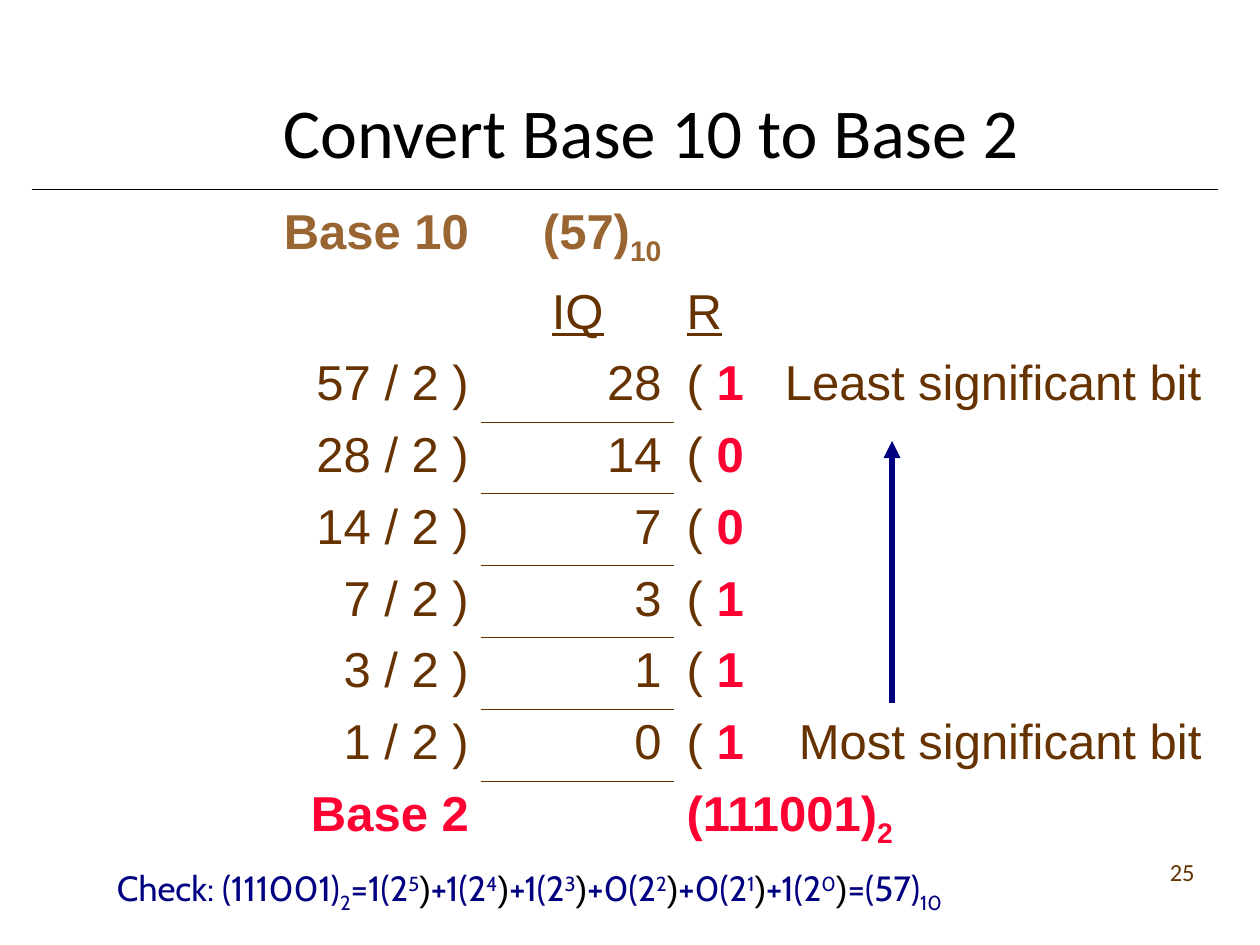
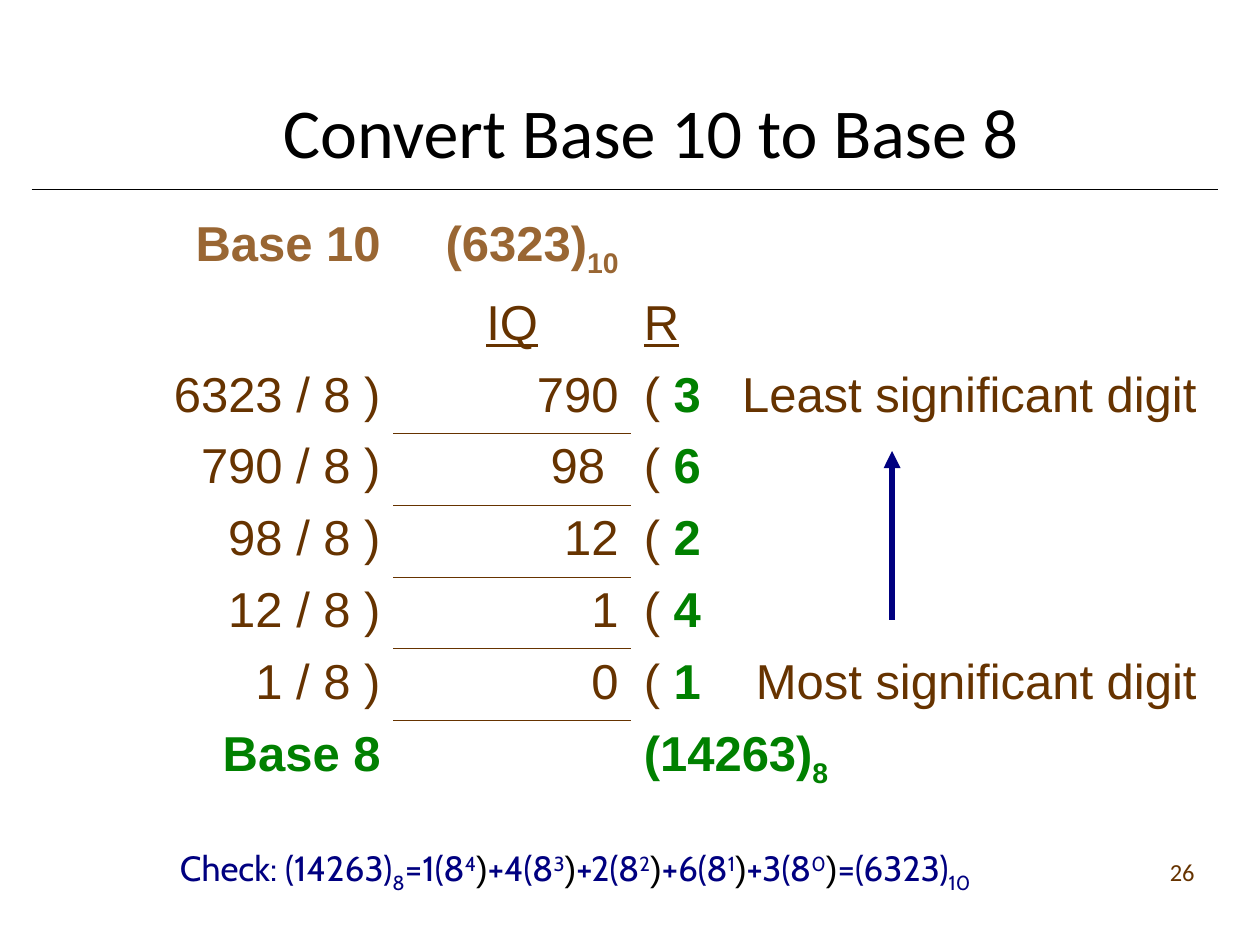
from lxml import etree
from pptx import Presentation
from pptx.dml.color import RGBColor
from pptx.enum import shapes, text
from pptx.oxml import ns
from pptx.util import Inches, Pt

COLORS = {
    "black": "000000",
    "brown": "663300",
    "tan": "996633",
    "navy": "000080",
    "red": "FF0033",
    "green": "008000",
}
NO_TABLE_STYLE = "{2D5ABB26-0587-4C30-8999-92F81FD0307C}"
LEFT, CENTER, RIGHT = text.PP_ALIGN.LEFT, text.PP_ALIGN.CENTER, text.PP_ALIGN.RIGHT
TITLE_BOX = (0.83, 0.17, 8.67, 1.25)
NUMBER_BOX = (7.5, 6.75, 2.08, 0.5)
END_ROW, ROW = 0.63, 0.57

CONVERSIONS = [
    dict(number=57, base=2, quotients=["28", "14", "7", "3", "1", "0"],
         unit="bit", color="red", page=25, table=(1.92, 1.58),
         columns=(1.9, 1.53, 4.4), arrow=(7.08, 3.5, 2.08),
         check=(0.83, 6.83, 8.42, 0.48)),
    dict(number=6323, base=8, quotients=["790", "98 ", "12", "1", "0"],
         unit="digit", color="green", page=26, table=(1, 1.67),
         columns=(2.12, 1.89, 4.75), arrow=(7.08, 3.58, 1.34),
         check=(1.33, 6.67, 7.58, 0.48)),
]


def add_run(p, words, color, size=28, font="Arial", bold=False,
            underline=False, baseline=0):
    r = p.add_run()
    r.text = words
    r.font.name = font
    r.font.size = Pt(size)
    r.font.bold = bold
    r.font.underline = underline
    r.font.color.rgb = RGBColor.from_string(COLORS[color])
    if baseline:
        r._r.get_or_add_rPr().set("baseline", str(baseline * 1000))


def add_text_box(slide, box):
    tf = slide.shapes.add_textbox(*map(Inches, box)).text_frame
    tf.word_wrap = True
    return tf.paragraphs[0]


def add_line(slide, start, end, color, width, arrow=False):
    line = slide.shapes.add_connector(
        shapes.MSO_CONNECTOR.STRAIGHT, *map(Inches, start + end))
    line.line.color.rgb = RGBColor.from_string(COLORS[color])
    line.line.width = Pt(width)
    if arrow:
        etree.SubElement(line.line._get_or_add_ln(), ns.qn("a:tailEnd"),
                         type="triangle")
    etree.SubElement(line._element.spPr, ns.qn("a:effectLst"))


def add_title(slide, box, words):
    title = slide.shapes.title
    title.left, title.top, title.width, title.height = map(Inches, box)
    tf = title.text_frame
    tf.auto_size = text.MSO_AUTO_SIZE.NONE
    tf.vertical_anchor = text.MSO_ANCHOR.BOTTOM
    p = tf.paragraphs[0]
    p.alignment = CENTER
    add_run(p, words, "black", 40, "Calibri")
    add_line(slide, (0.25, 1.5), (9.67, 1.5), "black", 0.5)


def add_page_number(slide, box, page):
    p = add_text_box(slide, box)
    p.alignment = RIGHT
    add_run(p, str(page), "brown", 14, "Calibri")


def add_border(cell, side):
    ln = etree.Element(ns.qn(f"a:ln{side}"), w=str(Pt(0.45)))
    fill = etree.SubElement(ln, ns.qn("a:solidFill"))
    etree.SubElement(fill, ns.qn("a:srgbClr"), val=COLORS["brown"])
    tc_pr = cell._tc.get_or_add_tcPr()
    position = len(tc_pr.findall(ns.qn("a:lnT")))
    tc_pr.insert(position, ln)


def add_tab(p, position):
    tabs = etree.SubElement(p._p.get_or_add_pPr(), ns.qn("a:tabLst"))
    etree.SubElement(tabs, ns.qn("a:tab"), pos=str(Inches(position)), algn="l")


def add_division_table(slide, corner, columns, number, base, quotients, unit, color):
    steps = len(quotients)
    heights = [END_ROW] + [ROW] * (steps + 1) + [END_ROW]
    frame = slide.shapes.add_table(
        len(heights), len(columns),
        *map(Inches, (*corner, sum(columns), sum(heights))))
    table = frame.table
    table.first_row = table.horz_banding = False
    table._tbl.tblPr.find(ns.qn("a:tableStyleId")).text = NO_TABLE_STYLE
    for column, width in zip(table.columns, columns):
        column.width = Inches(width)
    for row, height in zip(table.rows, heights):
        row.height = Inches(height)
    for cell in table.iter_cells():
        cell.fill.background()

    def paragraph(row, column, align):
        p = table.cell(row, column).text_frame.paragraphs[0]
        p.alignment = align
        return p

    add_run(paragraph(0, 0, RIGHT), "Base 10", "tan", bold=True)
    p = paragraph(0, 1, RIGHT)
    add_run(p, f"({number})", "tan", bold=True)
    add_run(p, "10", "tan", bold=True, baseline=-25)
    add_run(paragraph(1, 1, CENTER), "IQ", "brown", underline=True)
    add_run(paragraph(1, 2, LEFT), "R", "brown", underline=True)

    labels = {0: ("Least", 0.78), steps - 1: ("Most", 0.89)}
    dividend, digits = number, ""
    for step, quotient in enumerate(quotients):
        row = step + 2
        digit = str(dividend % base)
        add_run(paragraph(row, 0, RIGHT), f"{dividend} / {base} )", "brown")
        add_run(paragraph(row, 1, RIGHT), quotient, "brown")
        p = paragraph(row, 2, LEFT)
        add_run(p, "( ", "brown")
        add_run(p, digit, color, bold=True)
        if step in labels:
            rank, position = labels[step]
            add_tab(p, position)
            add_run(p, f"\t{rank} significant {unit}", "brown")
        add_border(table.cell(row, 1), "B")
        add_border(table.cell(row + 1, 1), "T")
        dividend, digits = int(quotient), digit + digits

    last = steps + 2
    add_run(paragraph(last, 0, RIGHT), f"Base {base}", color, bold=True)
    p = paragraph(last, 2, LEFT)
    add_run(p, f"({digits})", color, bold=True)
    add_run(p, str(base), color, bold=True, baseline=-25)
    return digits


def add_check(slide, box, number, base, digits):
    p = add_text_box(slide, box)

    def write(words, baseline=0):
        add_run(p, words, "navy", 20, "Cabin", baseline=baseline)

    write(f"Check: ({digits})")
    write(str(base), -25)
    for i, digit in enumerate(digits):
        write(f"{'+' if i else '='}{digit}({base}")
        write(str(len(digits) - 1 - i), 30)
        add_run(p, ")", "black", 20)
    write(f"=({number})")
    write("10", -25)


def add_conversion_slide(prs, number, base, quotients, unit, color, page,
                         table, columns, arrow, check):
    slide = prs.slides.add_slide(prs.slide_layouts[5])
    add_title(slide, TITLE_BOX, f"Convert Base 10 to Base {base}")
    digits = add_division_table(slide, table, columns, number, base,
                                quotients, unit, color)
    x, top, length = arrow
    add_line(slide, (x, top + length), (x, top), "navy", 3.25, arrow=True)
    add_check(slide, check, number, base, digits)
    add_page_number(slide, NUMBER_BOX, page)


def main():
    prs = Presentation()
    prs.slide_width, prs.slide_height = Inches(10), Inches(7.5)
    for conversion in CONVERSIONS:
        add_conversion_slide(prs, **conversion)
    prs.save("out.pptx")


if __name__ == "__main__":
    main()
